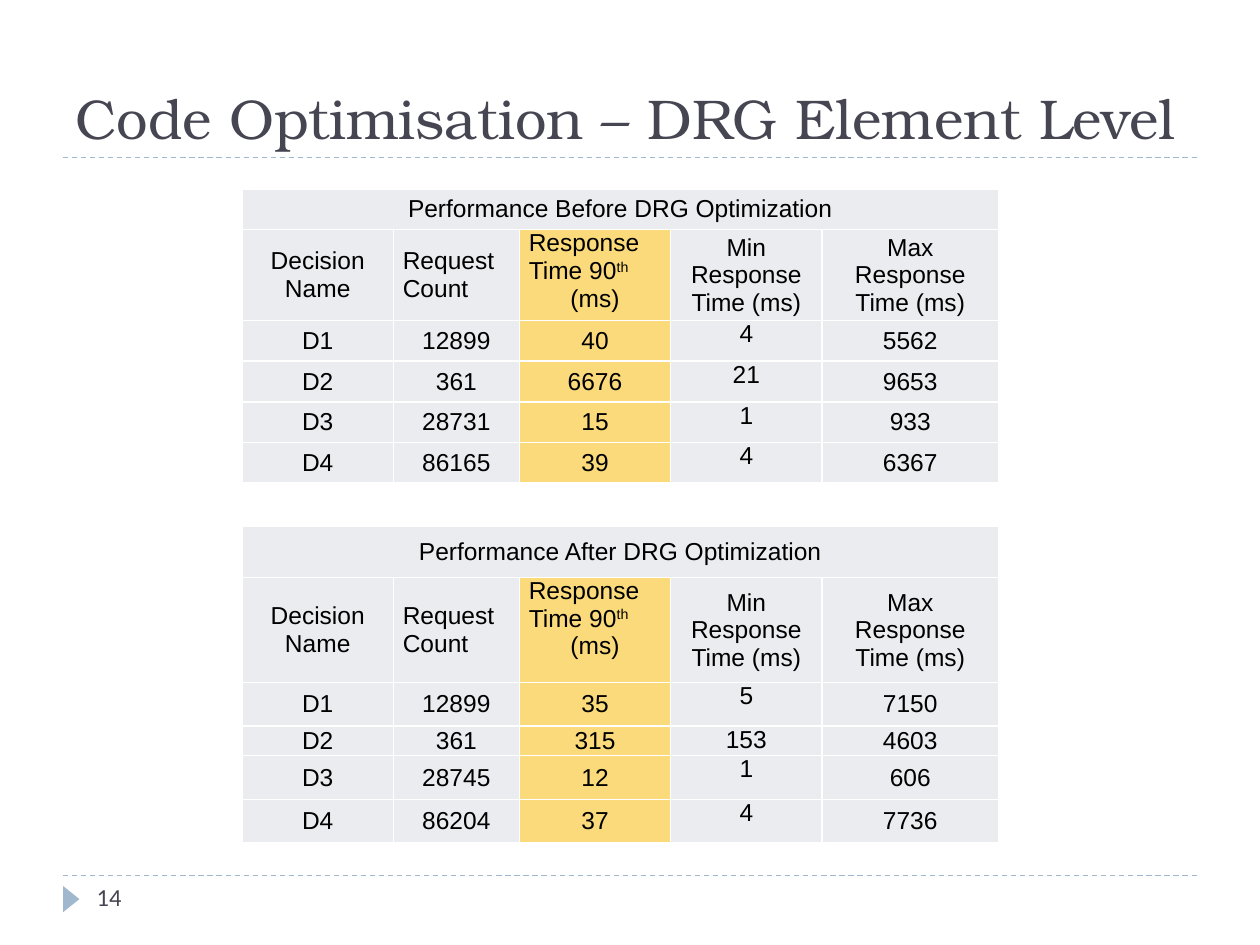
from lxml.etree import SubElement
from pptx import Presentation
from pptx.dml.color import RGBColor
from pptx.enum.dml import MSO_LINE
from pptx.enum.shapes import MSO_CONNECTOR, MSO_SHAPE
from pptx.enum.text import MSO_ANCHOR as Anchor, PP_ALIGN as Align
from pptx.oxml.ns import qn
from pptx.util import Cm, Pt

INK = RGBColor(0x46, 0x46, 0x53)
BLACK = RGBColor(0x00, 0x00, 0x00)
WHITE = RGBColor(0xFF, 0xFF, 0xFF)
ACCENT = RGBColor(0x9F, 0xB8, 0xCD)
PALE = RGBColor(0xEB, 0xEC, 0xF0)
HIGHLIGHT = RGBColor(0xFA, 0xDA, 0x7A)

TITLE = "Code Optimisation – DRG Element Level"
PAGE_NUMBER = "14"
RESPONSE_COLUMN, MIN_COLUMN = 2, 3
HEADINGS = [
    [("Decision Name", Align.CENTER)],
    [("Request Count", Align.JUSTIFY)],
    [("Response Time 90^th", Align.JUSTIFY), ("(ms)", Align.CENTER)],
    [("Min Response Time (ms)", Align.CENTER)],
    [("Max Response Time (ms)", Align.CENTER)],
]
COLUMN_WIDTHS = [3.05, 2.54, 3.05, 3.05, 3.56]
RESULTS = [
    {
        "caption": "Performance Before DRG Optimization",
        "top": 3.81,
        "heights": [0.82, 1.83, 0.82, 0.82, 0.82, 0.82],
        "decisions": [
            ("D1", "12899", "40", "4", "5562"),
            ("D2", "361", "6676", "21", "9653"),
            ("D3", "28731", "15", "1", "933"),
            ("D4", "86165", "39", "4", "6367"),
        ],
    },
    {
        "caption": "Performance After DRG Optimization",
        "top": 10.6,
        "heights": [1.04, 2.12, 0.88, 0.55, 0.88, 0.88],
        "decisions": [
            ("D1", "12899", "35", "5", "7150"),
            ("D2", "361", "315", "153", "4603"),
            ("D3", "28745", "12", "1", "606"),
            ("D4", "86204", "37", "4", "7736"),
        ],
    },
]


def write(paragraph, text, *, size=14, font="Arial", color=BLACK, align=Align.LEFT):
    paragraph.alignment = align
    base, _, superscript = text.partition("^")
    for part, baseline in ((base, None), (superscript, "30000")):
        if not part:
            continue
        run = paragraph.add_run()
        run.text = part
        run.font.size = Pt(size)
        run.font.name = font
        run.font.color.rgb = color
        if baseline:
            run._r.get_or_add_rPr().set("baseline", baseline)


def add_label(slide, text, left, top, width, height, anchor, **text_format):
    frame = slide.shapes.add_textbox(Cm(left), Cm(top), Cm(width), Cm(height)).text_frame
    frame.word_wrap = True
    frame.vertical_anchor = anchor
    write(frame.paragraphs[0], text, **text_format)


def add_rule(slide, y):
    rule = slide.shapes.add_connector(MSO_CONNECTOR.STRAIGHT, Cm(1.27), Cm(y), Cm(24.13), Cm(y))
    rule.line.color.rgb = ACCENT
    rule.line.width = Pt(0.75)
    rule.line.dash_style = MSO_LINE.DASH
    SubElement(rule._element.spPr, qn("a:effectLst"))


def style_cell(cell, fill, anchor):
    properties = cell._tc.get_or_add_tcPr()
    for side in ("lnL", "lnR", "lnT", "lnB"):
        border = SubElement(properties, qn(f"a:{side}"), w=str(Pt(1)))
        solid = SubElement(border, qn("a:solidFill"))
        SubElement(solid, qn("a:srgbClr"), val=str(WHITE))
    cell.fill.solid()
    cell.fill.fore_color.rgb = fill
    cell.vertical_anchor = anchor
    cell.margin_left = cell.margin_right = Cm(0.19)
    cell.margin_top = cell.margin_bottom = 0


def add_results(slide, caption, top, heights, decisions):
    rows = [[[(caption, Align.CENTER)]] + [[]] * (len(HEADINGS) - 1), HEADINGS]
    rows += [[[(value, Align.CENTER)] for value in decision] for decision in decisions]
    table = slide.shapes.add_table(
        len(rows), len(HEADINGS), Cm(4.88), Cm(top), Cm(sum(COLUMN_WIDTHS)), Cm(sum(heights))
    ).table
    table.first_row = table.horz_banding = False
    for column, width in zip(table.columns, COLUMN_WIDTHS):
        column.width = Cm(width)
    for row, height in zip(table.rows, heights):
        row.height = Cm(height)
    table.cell(0, 0).merge(table.cell(0, len(HEADINGS) - 1))

    for r, row in enumerate(rows):
        for c, lines in enumerate(row):
            cell = table.cell(r, c)
            highlighted = r > 0 and c == RESPONSE_COLUMN
            at_top = (r == 1 and c == RESPONSE_COLUMN) or (r > 1 and c == MIN_COLUMN)
            style_cell(
                cell,
                HIGHLIGHT if highlighted else PALE,
                Anchor.TOP if at_top else Anchor.MIDDLE,
            )
            for i, (text, align) in enumerate(lines):
                frame = cell.text_frame
                paragraph = frame.add_paragraph() if i else frame.paragraphs[0]
                write(paragraph, text, align=align)


def main():
    deck = Presentation()
    deck.slide_width, deck.slide_height = Cm(25.4), Cm(19.05)
    slide = deck.slides.add_slide(deck.slide_layouts[6])

    for y in (17.65, 3.17):
        add_rule(slide, y)
    marker = slide.shapes.add_shape(
        MSO_SHAPE.ISOSCELES_TRIANGLE, Cm(1.17), Cm(17.96), Cm(0.53), Cm(0.33)
    )
    marker.rotation = 90
    marker.shadow.inherit = False
    marker.fill.solid()
    marker.fill.fore_color.rgb = ACCENT
    marker.line.fill.background()

    add_label(slide, TITLE, 1.27, 0.43, 22.86, 2.74, Anchor.BOTTOM,
              size=32, font="TeX Gyre Bonum", color=INK)
    add_label(slide, PAGE_NUMBER, 1.7, 17.65, 5.51, 1.02, Anchor.TOP,
              font="Calibri", color=INK)
    for result in RESULTS:
        add_results(slide, **result)
    deck.save("out.pptx")


if __name__ == "__main__":
    main()
